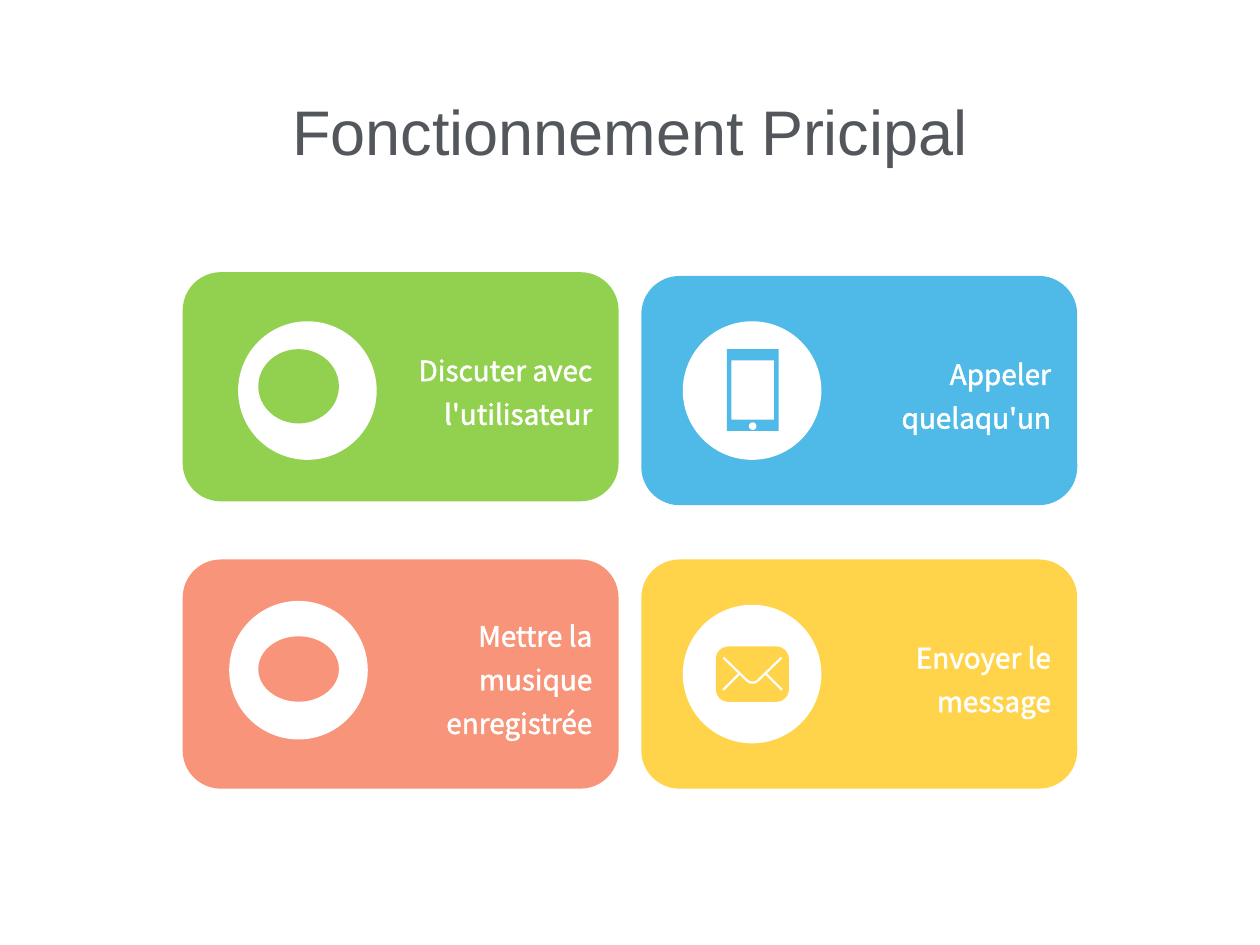
from lxml import etree
from pptx import Presentation, util as u
from pptx.dml.color import RGBColor
from pptx.enum import shapes, text
from pptx.oxml.ns import qn

GREEN = RGBColor(0x92, 0xD0, 0x50)
BLUE = RGBColor(0x4F, 0xBA, 0xE8)
CORAL = RGBColor(0xF7, 0x94, 0x79)
YELLOW = RGBColor(0xFF, 0xD4, 0x4B)
WHITE = RGBColor(0xFF, 0xFF, 0xFF)
DARK = RGBColor(0x53, 0x57, 0x5C)
PALE = RGBColor(0xC5, 0xC7, 0xCA)
KIND = shapes.MSO_SHAPE
LEFT, RIGHT = 104.4, 366.5
WIDE, HIGH, DISC = 249.1, 131, 79.2
CARDS = [
    (RIGHT, 157.7, BLUE, "Appeler quelaqu'un"),
    (LEFT, 319.7, CORAL, "Mettre la musique enregistrée"),
    (LEFT, 155.5, GREEN, "Discuter avec l'utilisateur"),
    (RIGHT, 319.7, YELLOW, "Envoyer le message"),
]
DISCS = [(390.2, 183.6), (136.1, 183.6), (390.2, 345.6), (131, 343.4)]


def style(item, look):
    """Set each value of a format dict on an object."""
    for name, value in look.items():
        setattr(item, name, value)


def plain(slide, kind, box, color):
    """Add a flat shape with no line."""
    shape = slide.shapes.add_shape(kind, *map(u.Pt, box))
    shape.shadow.inherit = False
    shape.fill.solid()
    shape.fill.fore_color.rgb = color
    shape.line.fill.background()
    return shape


def edge(font, color, width):
    """Outline the letters of a run in one colour."""
    line = etree.Element(qn("a:ln"), w=str(u.Pt(width)))
    fill = etree.SubElement(line, qn("a:solidFill"))
    etree.SubElement(fill, qn("a:srgbClr"), val=str(color))
    font._element.insert(0, line)


def card(slide, x, y, color, words):
    """Add a rounded card with its text on the right."""
    shape = plain(slide, KIND.ROUNDED_RECTANGLE, (x, y, WIDE, HIGH), color)
    frame = shape.text_frame
    style(frame, {
        "word_wrap": True, "vertical_anchor": text.MSO_ANCHOR.MIDDLE,
        "margin_left": u.Pt(121.7), "margin_right": u.Pt(8.6),
        "margin_top": 0, "margin_bottom": 0})
    para = frame.paragraphs[0]
    style(para, {"alignment": text.PP_ALIGN.RIGHT, "line_spacing": 1.3})
    run = para.add_run()
    run.text = words
    style(run.font, {"size": u.Pt(16), "name": "Noto Sans CJK SC"})
    run.font.color.rgb = WHITE
    edge(run.font, WHITE, 1.25)


def stroke(slide, dots):
    """Draw an open white line through the points."""
    dots = [(u.Pt(x), u.Pt(y)) for x, y in dots]
    pen = slide.shapes.build_freeform(*dots[0])
    pen.add_line_segments(dots[1:], close=False)
    shape = pen.convert_to_shape()
    shape.shadow.inherit = False
    shape.fill.background()
    shape.line.color.rgb = WHITE
    shape.line.width = u.Pt(1.25)


def phone(slide):
    """Draw the phone: body, screen and button."""
    plain(slide, KIND.RECTANGLE, (415.4, 199.5, 29.5, 46.8), BLUE)
    plain(slide, KIND.RECTANGLE, (418, 205.9, 24.2, 33.9), WHITE)
    plain(slide, KIND.OVAL, (427.9, 241.3, 4.4, 4.4), WHITE)


def mail(slide):
    """Draw the envelope with its flap and side folds."""
    body = plain(slide, KIND.ROUNDED_RECTANGLE, (409, 369.4, 41.8, 31.7), YELLOW)
    body.adjustments[0] = 0.23
    mid = 430
    stroke(slide, [(mid + x, y) for x, y in [
        (-16.6, 375.8), (-3, 389), (-1.3, 390), (1.3, 390),
        (3, 389), (16.6, 375.8)]])
    for side in (-1, 1):
        stroke(slide, [(mid + side * 16.8, 394.2), (mid + side * 7.6, 385)])


def head(slide, words):
    """Place and format the title."""
    title = slide.shapes.title
    style(title, dict(zip(("left", "top", "width", "height"),
                          map(u.Pt, (36, 46.8, 648, 55.4)))))
    title.text_frame.vertical_anchor = text.MSO_ANCHOR.MIDDLE
    para = title.text_frame.paragraphs[0]
    para.alignment = text.PP_ALIGN.CENTER
    run = para.add_run()
    run.text = words
    style(run.font, {"size": u.Pt(36), "name": "Arial"})
    fill = run.font.fill
    fill.gradient()
    fill.gradient_angle = 270
    for stop, color, place in zip(fill.gradient_stops, (DARK, PALE), (0.21, 0.88)):
        stop.color.rgb = color
        stop.position = place


def main():
    """Build the slide and save it."""
    deck = Presentation()
    style(deck, {"slide_width": u.Pt(720), "slide_height": u.Pt(540)})
    slide = deck.slides.add_slide(deck.slide_layouts[5])
    head(slide, "Fonctionnement Pricipal")
    for item in CARDS:
        card(slide, *item)
    for x, y in DISCS:
        plain(slide, KIND.OVAL, (x, y, DISC, DISC), WHITE)
    phone(slide)
    mail(slide)
    plain(slide, KIND.OVAL, (147.6, 199.5, 46.1, 42.5), GREEN)
    plain(slide, KIND.OVAL, (147.6, 363.6, 46.1, 37.4), CORAL)
    deck.save("out.pptx")


main()
